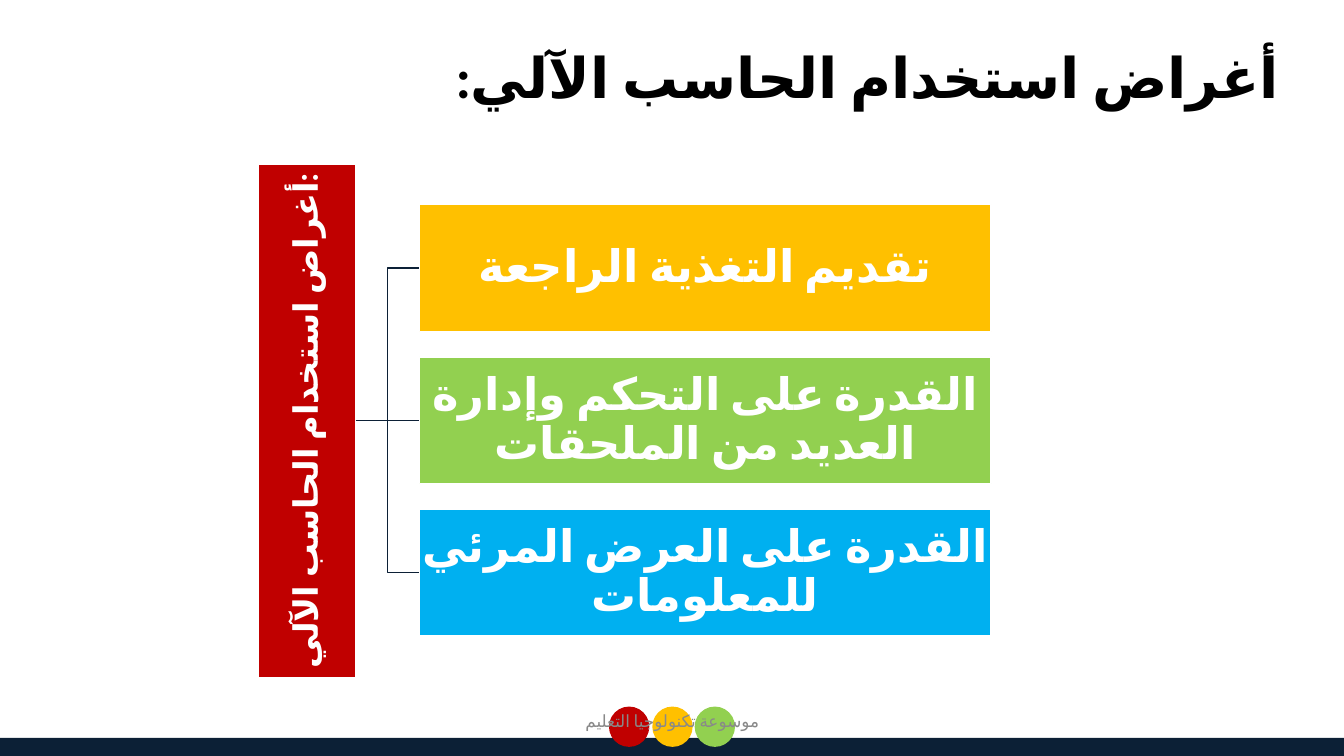
from lxml import etree
from pptx import Presentation
from pptx.dml.color import RGBColor
from pptx.enum import shapes, text
from pptx.oxml.ns import qn
from pptx.util import Inches, Pt

NAVY = RGBColor(0x0C, 0x20, 0x36)
RED = RGBColor(0xC0, 0x00, 0x00)
AMBER = RGBColor(0xFF, 0xC0, 0x00)
GREEN = RGBColor(0x92, 0xD0, 0x50)
BLUE = RGBColor(0x00, 0xB0, 0xF0)
WHITE = RGBColor(0xFF, 0xFF, 0xFF)
BLACK = RGBColor(0x00, 0x00, 0x00)
GREY = RGBColor(0x89, 0x89, 0x89)

FONT = "Calibri"
TITLE = "أغراض استخدام الحاسب الآلي:"
PURPOSES = [
    ("تقديم التغذية الراجعة", AMBER),
    ("القدرة على التحكم وإدارة العديد من الملحقات", GREEN),
    ("القدرة على العرض المرئي للمعلومات", BLUE),
]
BOX_LEFT, BOX_TOP, BOX_WIDTH, BOX_HEIGHT, BOX_GAP = 4.16, 2.03, 5.67, 1.26, 0.25
RAIL_RIGHT, RAIL_MIDDLE = 3.53, 4.17


def write(shape, words, size, color, bold=True, align=text.PP_ALIGN.CENTER,
          spacing=None, **frame_format):
    """Put one formatted Arabic paragraph into a shape and return it."""
    frame = shape.text_frame
    settings = {"word_wrap": True, "vertical_anchor": text.MSO_ANCHOR.MIDDLE}
    for name, value in (settings | frame_format).items():
        setattr(frame, name, value)
    para = frame.paragraphs[0]
    para.alignment = align
    para.line_spacing = spacing
    span = para.add_run()
    span.text = words
    for name, value in {"name": FONT, "size": Pt(size), "bold": bold}.items():
        setattr(span.font, name, value)
    span.font.color.rgb = color
    properties = span._r.get_or_add_rPr()
    properties.set("lang", "ar-SA")
    etree.SubElement(properties, qn("a:cs")).set("typeface", FONT)
    return para


def add_block(page, kind, place, fill, outline=None):
    block = page.shapes.add_shape(kind, *map(Inches, place))
    block.shadow.inherit = False
    block.fill.solid()
    block.fill.fore_color.rgb = fill
    if outline is None:
        block.line.fill.background()
    else:
        block.line.color.rgb = outline
        block.line.width = Pt(1)
    return block


def add_label_box(page, place, fill, words, size):
    box = add_block(page, shapes.MSO_SHAPE.RECTANGLE, place, fill, WHITE)
    margins = {f"margin_{side}": Inches(0.02)
               for side in ("left", "top", "right", "bottom")}
    write(box, words, size, WHITE, spacing=0.9, **margins)
    return box


def add_branch(page, box, kind):
    """Link the red rail to the left side of a box."""
    middle = box.top + box.height // 2
    branch = page.shapes.add_connector(
        kind, Inches(RAIL_RIGHT), Inches(RAIL_MIDDLE), box.left, middle)
    branch.end_connect(box, 1)
    branch.line.color.rgb = NAVY
    branch.line.width = Pt(1)
    etree.SubElement(branch._element.spPr, qn("a:effectLst"))


def add_footer(page):
    add_block(page, shapes.MSO_SHAPE.RECTANGLE, (0, 7.32, 13.33, 0.18), NAVY)
    for left, color in ((6.47, AMBER), (6.89, GREEN), (6.04, RED)):
        add_block(page, shapes.MSO_SHAPE.OVAL, (left, 7.01, 0.4, 0.4), color)
    label = page.shapes.add_textbox(*map(Inches, (4.42, 6.95, 4.5, 0.4)))
    write(label, "موسوعة تكنولوجيا التعليم", 12, GREY, bold=False)


def add_title(page):
    title = page.shapes.title
    place = {"left": -0.54, "top": 0.37, "width": 13.33, "height": 0.77}
    for name, value in place.items():
        setattr(title, name, Inches(value))
    para = write(title, TITLE, 40, BLACK, align=text.PP_ALIGN.RIGHT,
                 vertical_anchor=text.MSO_ANCHOR.TOP,
                 auto_size=text.MSO_AUTO_SIZE.SHAPE_TO_FIT_TEXT)
    para._p.get_or_add_pPr().set("rtl", "1")


def add_purposes(page):
    rail = add_label_box(page, (0.5, 3.69, 5.09, 0.97), RED, TITLE, 24)
    rail.rotation = 270
    for row, (words, color) in enumerate(PURPOSES):
        top = BOX_TOP + row * (BOX_HEIGHT + BOX_GAP)
        box = add_label_box(
            page, (BOX_LEFT, top, BOX_WIDTH, BOX_HEIGHT), color, words, 32)
        level = row == len(PURPOSES) // 2
        add_branch(page, box, shapes.MSO_CONNECTOR.STRAIGHT if level
                   else shapes.MSO_CONNECTOR.ELBOW)


def main():
    deck = Presentation()
    deck.slide_width = Inches(13.33)
    deck.slide_height = Inches(7.5)
    page = deck.slides.add_slide(deck.slide_layouts[5])
    add_title(page)
    add_purposes(page)
    add_footer(page)
    deck.save("out.pptx")


if __name__ == "__main__":
    main()
